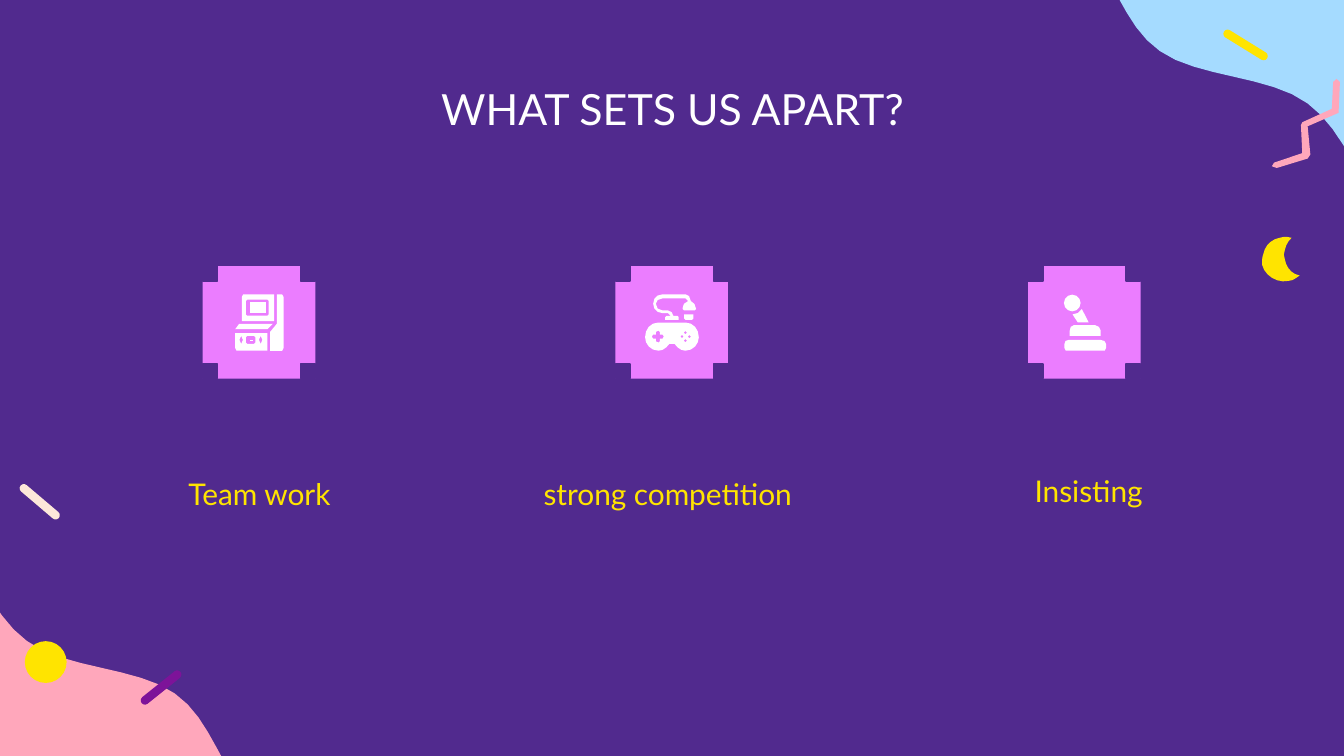
from dataclasses import dataclass
from math import atan2, ceil, degrees, hypot

from lxml.etree import SubElement
from pptx import Presentation
from pptx.dml.color import RGBColor
from pptx.enum.shapes import MSO_SHAPE as Shape
from pptx.enum.text import MSO_ANCHOR as Anchor, MSO_AUTO_SIZE as AutoSize, PP_ALIGN as Align
from pptx.oxml.ns import qn
from pptx.util import Cm, Pt

COLORS = {
    "purple": "512A8E", "sky": "A5DBFF", "rose": "FFA7BB", "yellow": "FFE400",
    "plum": "7D1399", "cream": "FDE8DA", "orchid": "EB7DFF", "white": "FFFFFF",
}
FONT = "Lato"
UNIT = Cm(0.0254)  # one step of the path coordinates


@dataclass
class Caption:
    idx: int  # placeholder on the layout
    text: str
    left: float
    top: float
    width: float
    height: float
    size: int
    color: str


@dataclass
class Stick:
    x1: float
    y1: float
    x2: float
    y2: float
    color: str


def oval(cx: float, cy: float, rx: float, ry: float) -> str:
    """Path of an ellipse."""
    kx, ky = 0.55 * rx, 0.55 * ry
    return (f"M {cx} {cy - ry} C {cx + kx} {cy - ry} {cx + rx} {cy - ky} {cx + rx} {cy} "
            f"{cx + rx} {cy + ky} {cx + kx} {cy + ry} {cx} {cy + ry} "
            f"{cx - kx} {cy + ry} {cx - rx} {cy + ky} {cx - rx} {cy} "
            f"{cx - rx} {cy - ky} {cx - kx} {cy - ry} {cx} {cy - ry} ")


def curve(xs: list, ys: list) -> list:
    """Points along a Bezier curve, more of them the longer it is."""
    steps = max(1, min(8, ceil(hypot(xs[3] - xs[0], ys[3] - ys[0]) / 4)))
    points = []
    for step in range(1, steps + 1):
        t = step / steps
        weights = ((1 - t) ** 3, 3 * t * (1 - t) ** 2, 3 * t * t * (1 - t), t ** 3)
        points.append(tuple(sum(w * v for w, v in zip(weights, axis)) for axis in (xs, ys)))
    return points


def contours(data: str) -> list:
    """Turn M, L and C commands into one list of points per contour."""
    result = []
    for part in data.split("M")[1:]:
        points, command, numbers = [], "L", []
        for token in part.split():
            if token in ("L", "C"):
                command = token
                continue
            numbers.append(float(token))
            if len(numbers) < (6 if command == "C" else 2):
                continue
            if command == "L":
                points.append(tuple(numbers))
            else:
                x, y = points[-1]
                points += curve([x] + numbers[::2], [y] + numbers[1::2])
            numbers = []
        result.append(points)
    return result


def paint(s, color: str, line: str = "") -> None:
    s.shadow.inherit = False
    s.fill.solid()
    s.fill.fore_color.rgb = RGBColor.from_string(COLORS[color])
    if line:
        s.line.color.rgb = RGBColor.from_string(COLORS[line])
        s.line.width = Pt(0.75)
    else:
        s.line.fill.background()


def draw_path(shapes, data: str, color: str, turned: bool = False) -> None:
    """Draw a filled outline, optionally turned half round about the slide's middle."""
    builder = None
    for contour in contours(data):
        if turned:
            contour = [(993 - x, 554 - y) for x, y in contour]
        points = [(x * UNIT, y * UNIT) for x, y in contour]
        if builder is None:
            builder = shapes.build_freeform(*points[0], scale=1.0)
        else:
            builder.move_to(*points[0])
        builder.add_line_segments(points[1:], close=True)
    paint(builder.convert_to_shape(), color)


def draw_stick(shapes, stick: Stick) -> None:
    dx, dy = stick.x2 - stick.x1, stick.y2 - stick.y1
    thick = 0.16
    length = hypot(dx, dy) + thick
    s = shapes.add_shape(Shape.ROUNDED_RECTANGLE,
                         Cm((stick.x1 + stick.x2 - length) / 2),
                         Cm((stick.y1 + stick.y2 - thick) / 2), Cm(length), Cm(thick))
    s.adjustments[0] = 0.5
    s.rotation = degrees(atan2(dy, dx))
    paint(s, stick.color)


def draw_tile(shapes, left: float, top: float) -> None:
    """Square with its four corners notched."""
    side, notch = 2.13, 0.28
    group = shapes.add_group_shape().shapes
    paint(group.add_shape(Shape.RECTANGLE, Cm(left), Cm(top), Cm(side), Cm(side)), "orchid")
    for y in (top, top + side - notch):
        for x in (left, left + side - notch):
            corner = group.add_shape(Shape.RECTANGLE, Cm(x), Cm(y), Cm(notch), Cm(notch))
            paint(corner, "purple", line="purple")


def fill_caption(slide, c: Caption) -> None:
    sp = slide.placeholders[c.idx]
    sp.left, sp.top, sp.width, sp.height = (Cm(v) for v in (c.left, c.top, c.width, c.height))
    tf = sp.text_frame
    tf.text = c.text
    tf.word_wrap, tf.auto_size, tf.vertical_anchor = True, AutoSize.NONE, Anchor.MIDDLE
    tf.margin_left = tf.margin_right = tf.margin_top = tf.margin_bottom = Cm(0.25)
    p = tf.paragraphs[0]
    p.alignment, p.space_before = Align.CENTER, Pt(0)
    pPr = p._p.get_or_add_pPr()
    pPr.set("marL", "0")
    pPr.set("indent", "0")
    SubElement(pPr, qn("a:buNone"))
    font = p.runs[0].font
    font.name, font.size, font.bold = FONT, Pt(c.size), False
    font.color.rgb = RGBColor.from_string(COLORS[c.color])


# Corner decorations
BLOB = ("M 1050 186 L 1031 159 C 1015 144 1001 97 973 77 945 56 891 58 863 38 "
        "835 19 828 -23 805 -40 L 726 -65 693 -90 1054 -109 1086 40 1070 165")
ZIGZAG = ("M 996 84 L 973 94 975 115 973 118 950 125 C 946 126 945 122 948 121 "
          "L 969 114 968 93 969 91 991 81 992 61 C 992 58 997 58 997 61")
MOON = ("M 940 189 C 941 183 946 178 952 177 955 176 958 176 961 177 "
        "958 180 957 182 956 186 955 188 955 191 956 193 957 199 961 204 967 205 "
        "964 207 962 209 959 209 950 211 941 205 939 197 939 194 939 191 940 189")
STICKS = [
    Stick(23.2, 0.64, 23.88, 1.06, "yellow"),
    Stick(2.74, 13.24, 3.35, 12.75, "plum"),
    Stick(0.45, 9.23, 1.05, 9.74, "cream"),
]

# Icon outlines, one list per tile
ARCADE = [
    "M 186 253 L 186 253.5 188 253.5 188 253",
    "M 186 225 L 186 233 198 233 198 225",
    "M 206 219 L 206 241 201 247 201 261 210 261 211 259 211 221 210 219",
    "M 178 241 L 175 245 199 245 203 241",
    oval(179.5, 253, 1.3, 3) + oval(194, 253, 1.3, 3)
    + "M 184 250 L 189 250 190 251 190 255 189 256 184 256 183 255 183 251 "
      "M 175 248 L 175 259 176 261 199 261 199 248",
    "M 199 223 L 200 224 200 234 199 235 184 235 183 234 183 224 184 223 "
    "M 181 219 L 180 221 180 239 204 239 204 219",
]
GAMEPAD = [
    "".join(oval(x, y, 1.2, 1.2) for x, y in ((510, 247.5), (507.5, 250.5), (513, 250.5), (510, 253.5)))
    + "M 490 246 L 491 247 491 249 493 249 494 250.5 493 252 491 252 491 254 490 255 "
      "488 254 488 252 486 252 485 250.5 486 249 488 249 488 247 "
      "M 490 240 C 484 240 480 245 480 251 480 256 484 261 490 261 493 261 496 259 498 256 "
      "L 502 256 C 504 259 507 261 510 261 516 261 520 256 520 251 520 245 516 240 510 240",
    "M 493 219 C 489 219 486 222 486 226 486 230 489 233 493 233 L 497 233 499 235 "
    "496 235 495 236 495 238 505 238 505 236 504 235 501 235 C 501 233 499 231 497 231 "
    "L 493 231 C 490 231 488 229 488 226 488 224 490 222 493 222 L 510 222 512 224 "
    "C 509 225 508 227 508 229 L 508 230 509 231 517 231 518 230 "
    "C 518 227 516 225 514 224 514 221 512 219 510 219",
    "M 509 234 L 509 237 510 238 515 238 516 237 516 234",
]
JOYSTICK = [
    oval(797.8, 225.5, 6.2, 6.2),
    "M 795 253 C 793 253 792 254 792 256 L 792 259 793 261 822 261 823 259 823 256 "
    "C 823 254 821 253 819 253",
    "M 799 242 C 797 242 796 244 796 246 L 796 250 819 250 819 246 C 819 244 817 242 815 242",
    "M 805 230 L 802 233 798 234 802 240 810 240",
]

CAPTIONS = [
    Caption(0, "WHAT SETS US APART?", 2.01, 1.24, 21.41, 1.6, 23, "white"),
    Caption(1, "Team work", 1.4, 8.81, 7.01, 1.04, 16, "yellow"),
    Caption(2, "strong competition", 9.04, 8.81, 7.16, 1.04, 16, "yellow"),
    Caption(3, "Insisting", 17.68, 8.76, 5.79, 1.04, 16, "yellow"),
]


def main() -> None:
    prs = Presentation()
    prs.slide_width, prs.slide_height = Cm(25.4), Cm(14.29)
    slide = prs.slides.add_slide(prs.slide_layouts[4])
    slide.background.fill.solid()
    slide.background.fill.fore_color.rgb = RGBColor.from_string(COLORS["purple"])
    shapes = slide.shapes
    # Background decorations
    draw_path(shapes, BLOB, "sky")
    draw_path(shapes, BLOB, "rose", turned=True)
    draw_path(shapes, ZIGZAG, "rose")
    draw_path(shapes, MOON, "yellow")
    paint(shapes.add_shape(Shape.OVAL, Cm(0.47), Cm(12.12), Cm(0.79), Cm(0.79)), "yellow")
    for stick in STICKS:
        draw_stick(shapes, stick)
    # Title and captions
    for caption in CAPTIONS:
        fill_caption(slide, caption)
    spare = slide.placeholders[4]._element
    spare.getparent().remove(spare)
    # Tiles with icons
    for i, icon in enumerate((ARCADE, GAMEPAD, JOYSTICK)):
        draw_tile(shapes, 3.83 + 7.8 * i, 5.03)
        group = shapes.add_group_shape()
        for outline in icon:
            draw_path(group.shapes, outline, "white")
    prs.save("out.pptx")


if __name__ == "__main__":
    main()
